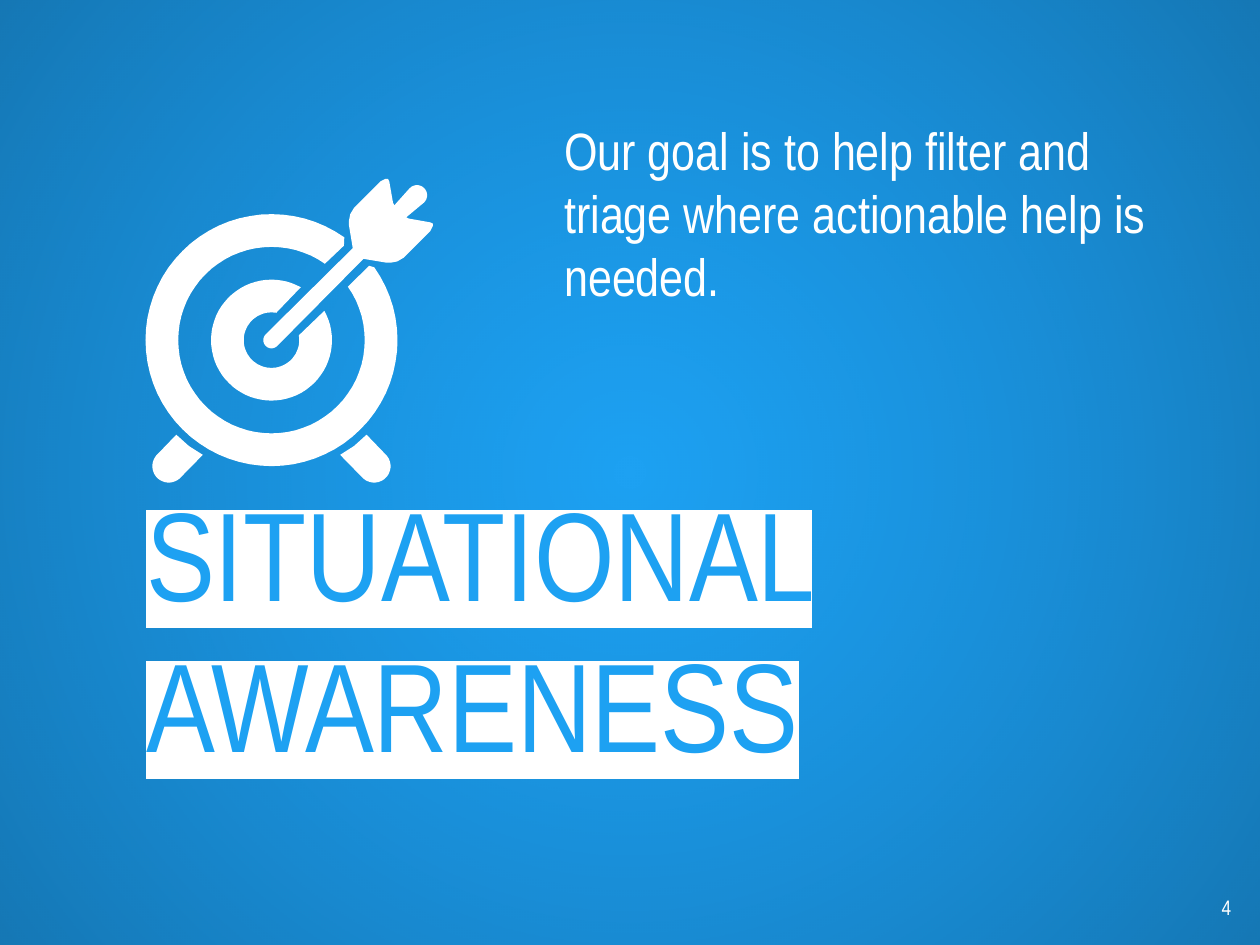
import math
from dataclasses import dataclass

from lxml import etree
from pptx import Presentation, util as u
from pptx.dml.color import RGBColor
from pptx.enum import shapes, text
from pptx.oxml import ns, parse_xml


@dataclass(frozen=True)
class Theme:
    """Colours, font and type sizes of the deck."""
    sky: str = "1DA1F2"
    navy: str = "073763"
    night: str = "010B15"
    white: str = "FFFFFF"
    font: str = "Arial Narrow"
    big: int = 72
    lead: int = 30
    small: int = 12


T = Theme()
WIDE, HIGH = 10, 7.5
HUB = (2.155, 2.7)
MIL = 1000


def rgb(code):
    """Turn a hex code into a colour."""
    return RGBColor.from_string(code)


def area(left, top, width, height):
    """Turn percentages of the slide into a position and size."""
    return [u.Inches(part * side / 100) for part, side in
            zip((left, top, width, height), (WIDE, HIGH, WIDE, HIGH))]


def place(shape, spot):
    """Move and size a shape."""
    shape.left, shape.top, shape.width, shape.height = spot


def write(shape, words, size, color, align=text.PP_ALIGN.LEFT,
          anchor=text.MSO_ANCHOR.TOP, mark=None):
    """Fill a shape with one formatted paragraph."""
    frame = shape.text_frame
    frame.word_wrap = True
    frame.auto_size = text.MSO_AUTO_SIZE.NONE
    frame.vertical_anchor = anchor
    frame.margin_left = frame.margin_right = u.Inches(0.1)
    frame.margin_top = frame.margin_bottom = u.Inches(0.1)
    para = frame.paragraphs[0]
    para.alignment = align
    run = para.add_run()
    run.text = words
    run.font.size, run.font.name = u.Pt(size), T.font
    run.font.color.rgb = rgb(color)
    if mark:
        light = etree.Element(ns.qn("a:highlight"))
        etree.SubElement(light, ns.qn("a:srgbClr"), val=mark)
        run.font._element.find(ns.qn("a:solidFill")).addnext(light)


def note(slide, spot, words, **style):
    """Add a text box."""
    write(slide.shapes.add_textbox(*area(*spot)), words, **style)


def shade(slide):
    """Lay a radial vignette over the background."""
    rect = slide.shapes.add_shape(shapes.MSO_SHAPE.RECTANGLE,
                                  *area(0, 0, 100, 100))
    rect.shadow.inherit = False
    rect.line.fill.background()
    rect.fill.background()
    old = rect._element.spPr.find(ns.qn("a:noFill"))
    old.getparent().replace(old, parse_xml(
        f'<a:gradFill {ns.nsdecls("a")}><a:gsLst>'
        f'<a:gs pos="0"><a:srgbClr val="{T.navy}"><a:alpha val="0"/>'
        f'</a:srgbClr></a:gs><a:gs pos="100000"><a:srgbClr val="{T.night}">'
        '<a:alpha val="28000"/></a:srgbClr></a:gs></a:gsLst>'
        '<a:path path="circle"><a:fillToRect l="50000" t="50000" r="50000" '
        'b="50000"/></a:path></a:gradFill>'))


def arc(mid, radius, start, end):
    """Return points along an arc, in degrees clockwise from the right."""
    steps = max(2, round(abs(end - start) / 5))
    turns = [math.radians(start + (end - start) * i / steps)
             for i in range(steps + 1)]
    return [(mid[0] + radius * math.cos(a), mid[1] + radius * math.sin(a))
            for a in turns]


def trace(slide, points):
    """Draw a closed white outline through points in inches."""
    mils = [(x * MIL, y * MIL) for x, y in points]
    pen = slide.shapes.build_freeform(*mils[0], scale=u.Inches(1) / MIL)
    pen.add_line_segments(mils[1:], close=True)
    form = pen.convert_to_shape()
    form.shadow.inherit = False
    form.fill.solid()
    form.fill.fore_color.rgb = rgb(T.white)
    form.line.fill.background()


def ring(slide, outer, inner, gap, slit, notch=()):
    """Draw a ring that opens around the arrow's diagonal."""
    rim = arc(HUB, outer, gap - 45, 315 - gap)
    hole = arc(HUB, inner, 315 - slit, slit - 45)
    trace(slide, rim + list(notch[:1]) + hole + list(notch[1:]))


def legs(slide):
    """Draw the left leg and its mirror image."""
    left = [(1.4, 3.45), *arc((1.34, 3.7), 0.13, 225, 45),
            (1.61, 3.61), (1.5, 3.54)]
    trace(slide, left)
    trace(slide, [(2 * HUB[0] - x, y) for x, y in left])


def arrow(slide):
    """Draw the arrow from one side and its reflection in the diagonal."""
    side = [(3.13, 1.63), (3.12, 1.61), (3.09, 1.44), (3.08, 1.42),
            (3.06, 1.42), (3.04, 1.43), (3.02, 1.44), (2.81, 1.65),
            (2.78, 1.7), (2.77, 1.75), (2.77, 1.79), (2.8, 1.97)]
    x0, y0 = HUB
    back = [(x0 + y0 - y, y0 + x0 - x) for x, y in reversed(side)]
    trace(slide, arc((3.31, 1.55), 0.08, 45, -135) + side
          + arc(HUB, 0.065, 225, 45) + back)


def main():
    """Build and save the slide."""
    deck = Presentation()
    deck.slide_width, deck.slide_height = u.Inches(WIDE), u.Inches(HIGH)
    slide = deck.slides.add_slide(deck.slide_layouts[0])
    slide.background.fill.solid()
    slide.background.fill.fore_color.rgb = rgb(T.sky)
    sub = slide.placeholders[1]._element
    sub.getparent().remove(sub)
    shade(slide)
    title = slide.shapes.title
    slide.shapes._spTree.append(title._element)
    place(title, area(10.6, 48.53, 78.8, 35.6))
    write(title, "SITUATIONAL AWARENESS", size=T.big, color=T.sky,
          anchor=text.MSO_ANCHOR.MIDDLE, mark=T.white)
    ring(slide, 1, 0.74, 9.7, 10, ((2.73, 1.95), (2.93, 2.11)))
    ring(slide, 0.48, 0.22, 16, 35)
    legs(slide)
    arrow(slide)
    note(slide, (92.7, 93.33, 6, 6.67), "4", size=T.small, color=T.white,
         align=text.PP_ALIGN.RIGHT)
    note(slide, (43.8, 11.2, 51.5, 17.47),
         "Our goal is to help filter and triage where actionable help is "
         "needed.", size=T.lead, color=T.white)
    deck.save("out.pptx")


if __name__ == "__main__":
    main()
